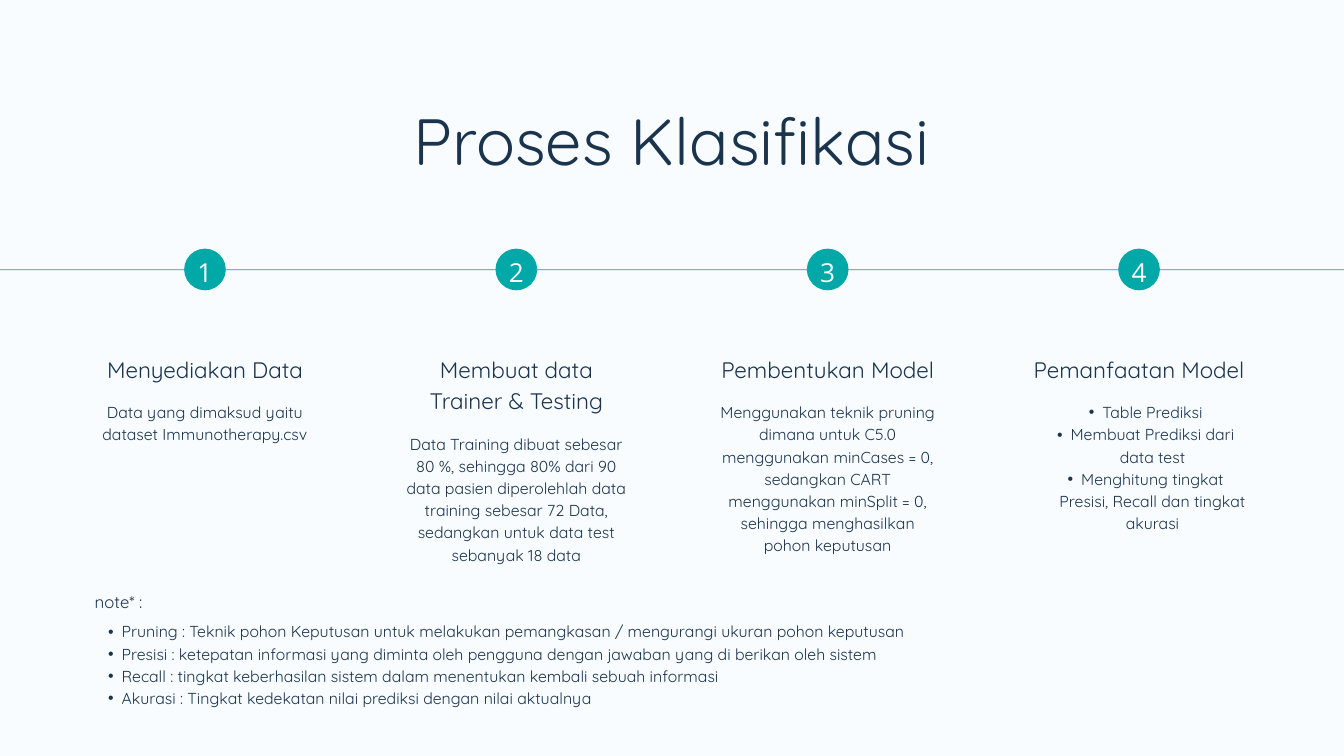
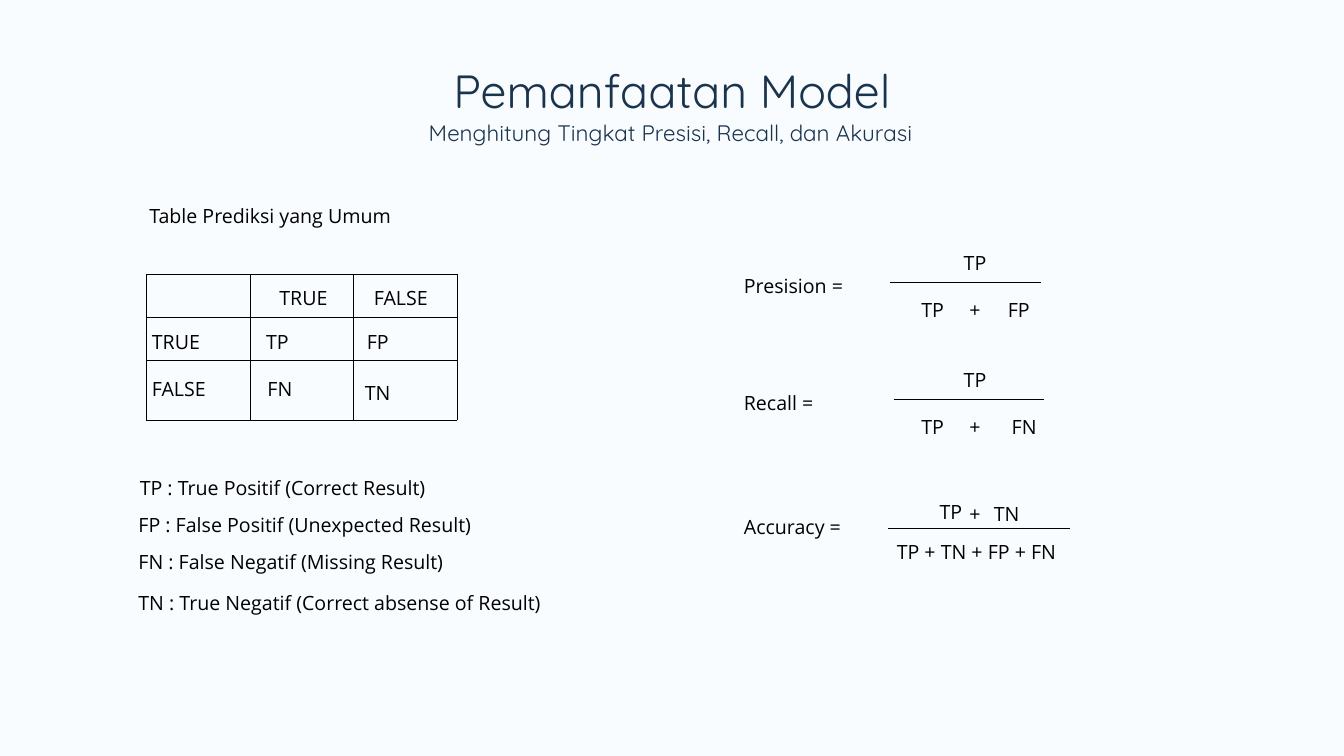
from dataclasses import dataclass

from lxml import etree
from pptx import Presentation
from pptx.dml.color import RGBColor
from pptx.enum.shapes import MSO_CONNECTOR as Connector, MSO_SHAPE as Shape
from pptx.enum.text import MSO_ANCHOR as Anchor, PP_ALIGN as Align
from pptx.oxml.ns import qn
from pptx.util import Inches, Pt


@dataclass(frozen=True)
class Theme:
    paper: RGBColor = RGBColor.from_string("F9FCFF")
    navy: RGBColor = RGBColor.from_string("1B344D")
    teal: RGBColor = RGBColor.from_string("00A8A8")
    black: RGBColor = RGBColor.from_string("000000")
    main_font: str = "Quicksand"
    plain_font: str = "Open Sans"
    title: float = 70
    small_title: float = 49.8
    heading: float = 24
    body: float = 17
    note: float = 18
    number: float = 28
    formula: float = 21
    title_leading: float = 1.2
    leading: float = 1.4


THEME = Theme()
PAGE_WIDTH, PAGE_HEIGHT = 20, 11.25

# Slide 1 content: heading, lines the heading takes, text (a list is bulleted)
PROCESS_TITLE = "Proses Klasifikasi"
STEPS = [
    ("Menyediakan Data", 1, "Data yang dimaksud yaitu dataset Immunotherapy.csv"),
    ("Membuat data Trainer & Testing", 2,
     "Data Training dibuat sebesar 80 %, sehingga 80% dari 90 data pasien "
     "diperolehlah data training sebesar 72 Data, sedangkan untuk data test "
     "sebanyak 18 data"),
    ("Pembentukan Model", 1,
     "Menggunakan teknik pruning dimana untuk C5.0 menggunakan minCases = 0, "
     "sedangkan CART menggunakan minSplit = 0, sehingga menghasilkan pohon keputusan"),
    ("Pemanfaatan Model", 1, [
        "Table Prediksi",
        "Membuat Prediksi dari data test",
        "Menghitung tingkat Presisi, Recall dan tingkat akurasi",
    ]),
]
NOTE_LABEL = "note* :"
NOTES = [
    "Pruning : Teknik pohon Keputusan untuk melakukan pemangkasan / mengurangi "
    "ukuran pohon keputusan",
    "Presisi : ketepatan informasi yang diminta oleh pengguna dengan jawaban yang "
    "di berikan oleh sistem",
    "Recall : tingkat keberhasilan sistem dalam menentukan kembali sebuah informasi",
    "Akurasi : Tingkat kedekatan nilai prediksi dengan nilai aktualnya",
]

# Slide 2 content
MODEL_TITLE = "Pemanfaatan Model"
MODEL_SUBTITLE = "Menghitung Tingkat Presisi, Recall, dan Akurasi"
TABLE_LABEL = "Table Prediksi yang Umum"
# Labels laid over the table grid: text, left, top, width
COLUMN_LABELS = [("TRUE", 3.77, 4.2, 1.49), ("FALSE", 5.26, 4.2, 1.41)]
GRID_LABELS = [
    ("TRUE", 2.26, 4.85, 1.06), ("TP", 3.96, 4.85, 0.53), ("FP", 5.46, 4.85, 0.53),
    ("FALSE", 2.26, 5.55, 1.06), ("FN", 3.98, 5.55, 0.53), ("TN", 5.43, 5.61, 0.53),
]
# Meaning, left, top
LEGEND = [
    ("TP : True Positif (Correct Result)", 2.08, 7.02),
    ("FP : False Positif (Unexpected Result)", 2.06, 7.58),
    ("FN : False Negatif (Missing Result)", 2.06, 8.13),
    ("TN : True Negatif (Correct absense of Result)", 2.06, 8.73),
]
# Label, label top, bar (left, right, y), and terms (text, centre, top)
FORMULAS = [
    ("Presision =", 4.02, (13.25, 15.49, 4.2), [
        ("TP", 14.51, 3.67),
        ("TP", 13.88, 4.38), ("+", 14.51, 4.38), ("FP", 15.16, 4.38)]),
    ("Recall =", 5.76, (13.31, 15.54, 5.95), [
        ("TP", 14.51, 5.41),
        ("TP", 13.88, 6.12), ("+", 14.51, 6.12), ("FN", 15.24, 6.12)]),
    ("Accuracy =", 7.6, (13.21, 15.92, 7.86), [
        ("TP", 14.15, 7.38), ("+", 14.51, 7.41), ("TN", 14.98, 7.41),
        ("TP + TN + FP + FN", 14.53, 7.97)]),
]


def add_page(deck):
    page = deck.slides.add_slide(deck.slide_layouts[6])
    page.background.fill.solid()
    page.background.fill.fore_color.rgb = THEME.paper
    return page


def add_bullet(para):
    props = para._p.get_or_add_pPr()
    props.set("marL", str(Inches(0.4)))
    props.set("indent", str(Inches(-0.2)))
    etree.SubElement(props, qn("a:buFont"), typeface="Arial")
    etree.SubElement(props, qn("a:buChar"), char="•")


def write(frame, text, size, align=Align.LEFT, color=THEME.navy,
          font=THEME.main_font, leading=THEME.leading):
    """Fill a text frame; a list of texts becomes bulleted paragraphs."""
    bulleted = isinstance(text, list)
    frame.text = "\n".join(text) if bulleted else text
    frame.margin_left = frame.margin_right = 0
    frame.margin_top = frame.margin_bottom = 0
    for para in frame.paragraphs:
        para.alignment = align
        para.line_spacing = Pt(round(size * leading, 1))
        if bulleted:
            add_bullet(para)
        for span in para.runs:
            span.font.size = Pt(size)
            span.font.name = font
            span.font.color.rgb = color


def add_text(page, area, text, size, **style):
    box = page.shapes.add_textbox(*map(Inches, area))
    box.text_frame.word_wrap = True
    write(box.text_frame, text, size, **style)


def add_plain(page, area, text, **style):
    add_text(page, area, text, THEME.formula, color=THEME.black,
             font=THEME.plain_font, **style)


def add_solid(page, kind, area):
    solid = page.shapes.add_shape(kind, *map(Inches, area))
    solid.shadow.inherit = False
    solid.fill.solid()
    solid.fill.fore_color.rgb = THEME.teal
    solid.line.fill.background()
    return solid


def add_marker(page, number, center, y, size=0.62):
    marker = add_solid(page, Shape.OVAL,
                       (center - size / 2, y - size / 2, size, size))
    frame = marker.text_frame
    frame.word_wrap = False
    frame.vertical_anchor = Anchor.MIDDLE
    write(frame, str(number), THEME.number, align=Align.CENTER,
          color=THEME.paper, font=THEME.plain_font)


def add_fraction_bar(page, left, right, y):
    bar = page.shapes.add_connector(
        Connector.STRAIGHT, Inches(left), Inches(y), Inches(right), Inches(y))
    bar.line.color.rgb = THEME.black
    bar.line.width = Pt(1)
    etree.SubElement(bar._element.spPr, qn("a:effectLst"))


def border_cell(cell):
    props = cell._tc.get_or_add_tcPr()
    for index, side in enumerate(("lnL", "lnR", "lnT", "lnB")):
        line = etree.Element(qn(f"a:{side}"), w=str(Pt(1)))
        fill = etree.SubElement(line, qn("a:solidFill"))
        etree.SubElement(fill, qn("a:srgbClr"), val=str(THEME.black))
        props.insert(index, line)


def add_prediction_table(page):
    widths, heights = [1.54] * 3, [0.64, 0.64, 0.89]
    table = page.shapes.add_table(
        len(heights), len(widths), Inches(2.18), Inches(4.08),
        Inches(sum(widths)), Inches(sum(heights))).table
    table.first_row = table.horz_banding = False
    for column, width in zip(table.columns, widths):
        column.width = Inches(width)
    for row, height in zip(table.rows, heights):
        row.height = Inches(height)
        for cell in row.cells:
            cell.fill.background()
            border_cell(cell)

    for text, left, top, width in COLUMN_LABELS:
        add_plain(page, (left, top, width, 0.41), text, align=Align.CENTER)
    for text, left, top, width in GRID_LABELS:
        add_plain(page, (left, top, width, 0.38), text)


def build_process(deck):
    page = add_page(deck)
    left, width, line_y = 1.41, 3.28, 4.01
    pitch = (15.31 - left) / (len(STEPS) - 1)
    heading_line = THEME.heading * THEME.leading / 72

    add_text(page, (4.21, 1.49, 11.57, 1.18), PROCESS_TITLE, THEME.title,
             align=Align.CENTER, leading=THEME.title_leading)

    # Timeline with a marker and a text column for each step
    add_solid(page, Shape.RECTANGLE, (0, line_y, PAGE_WIDTH, 0.01))
    for index, (heading, lines, text) in enumerate(STEPS):
        x = left + index * pitch
        add_marker(page, index + 1, x + width / 2, line_y)
        add_text(page, (x, 5.23, width, lines * heading_line), heading,
                 THEME.heading, align=Align.CENTER)
        add_text(page, (x, 5.48 + lines * heading_line, width, 2), text,
                 THEME.body, align=Align.CENTER)

    # Notes
    add_text(page, (left, 8.75, 17.47, 0.33), NOTE_LABEL, THEME.note)
    add_text(page, (left, 9.21, 17.19, 1.33), NOTES, THEME.body)


def build_model(deck):
    page = add_page(deck)
    add_text(page, (5.38, 0.92, 9.24, 0.83), MODEL_TITLE, THEME.small_title,
             align=Align.CENTER, leading=THEME.title_leading)
    add_text(page, (6.38, 1.71, 8.88, 0.46), MODEL_SUBTITLE, THEME.heading)

    # Prediction table and its legend
    add_plain(page, (2.08, 2.97, 3.88, 0.39), TABLE_LABEL, align=Align.CENTER)
    add_prediction_table(page)
    for meaning, left, top in LEGEND:
        add_plain(page, (left, top, 6.19, 0.39), meaning)

    # Formulas written as fractions
    for label, label_top, bar, terms in FORMULAS:
        add_plain(page, (11.07, label_top, 2, 0.38), label)
        add_fraction_bar(page, *bar)
        for term, center, top in terms:
            width = 0.5 if len(term) < 3 else 2.56
            add_plain(page, (center - width / 2, top, width, 0.38), term,
                      align=Align.CENTER)


def main():
    deck = Presentation()
    deck.slide_width = Inches(PAGE_WIDTH)
    deck.slide_height = Inches(PAGE_HEIGHT)
    build_process(deck)
    build_model(deck)
    deck.save("out.pptx")


if __name__ == "__main__":
    main()
